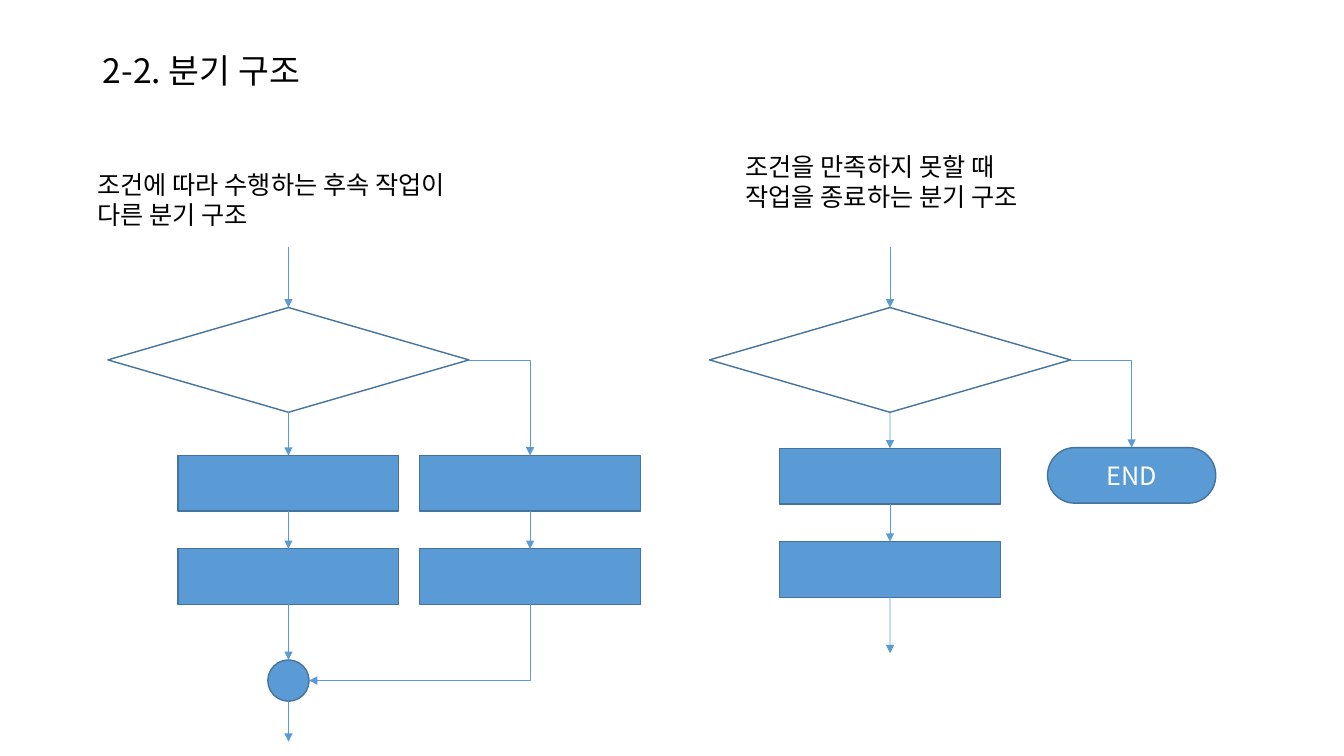
from dataclasses import dataclass

from lxml import etree
from pptx import Presentation
from pptx.dml.color import RGBColor
from pptx.enum.shapes import MSO_CONNECTOR, MSO_SHAPE
from pptx.enum.text import MSO_ANCHOR, MSO_AUTO_SIZE, PP_ALIGN
from pptx.oxml.ns import qn
from pptx.shapes.autoshape import Shape
from pptx.shapes.connector import Connector
from pptx.text.text import _Paragraph
from pptx.util import Cm, Pt

STRAIGHT, ELBOW = MSO_CONNECTOR.STRAIGHT, MSO_CONNECTOR.ELBOW
CHOICE = MSO_SHAPE.FLOWCHART_DECISION
STEP = MSO_SHAPE.FLOWCHART_PROCESS
JOIN = MSO_SHAPE.FLOWCHART_CONNECTOR
STOP = MSO_SHAPE.FLOWCHART_TERMINATOR
LEFT, CENTER, MIDDLE = PP_ALIGN.LEFT, PP_ALIGN.CENTER, MSO_ANCHOR.MIDDLE
NO_FIT, GROW = MSO_AUTO_SIZE.NONE, MSO_AUTO_SIZE.SHAPE_TO_FIT_TEXT
TOP, BOTTOM, RIGHT = 0, 2, 3

FONT = "Noto Sans CJK KR"
BLUE, EDGE, BLACK, WHITE = "5B9BD5", "43739E", "000000", "FFFFFF"
SIZES = {CHOICE: (9.1, 2.64), STEP: (5.56, 1.4), JOIN: (1.04, 1.04), STOP: (4.24, 1.4)}
START, HEAD = 6.22, 7.75  # top of entry arrow and of decision
PITCH = 2.35  # from one step to the next


@dataclass
class Node:
    kind: MSO_SHAPE
    mid: float
    top: float
    text: str = ""


@dataclass
class Label:
    left: float
    top: float
    width: float
    lines: tuple[str, ...]


LABELS = [
    Label(18.54, 3.68, 8.26, ("조건을 만족하지 못할 때", "작업을 종료하는 분기 구조")),
    Label(2.21, 4.14, 10.39, ("조건에 따라 수행하는 후속 작업이", "다른 분기 구조")),
]

prs = Presentation()
prs.slide_width, prs.slide_height = Cm(33.87), Cm(19.05)
slide = prs.slides.add_slide(prs.slide_layouts[5])
shapes = slide.shapes


def rgb(code: str) -> RGBColor:
    return RGBColor.from_string(code)


def style(para: _Paragraph, size: float, color: str, align: PP_ALIGN = LEFT) -> None:
    para.alignment = align
    font = para.font
    font.size, font.name = Pt(size), FONT
    font.color.rgb = rgb(color)
    etree.SubElement(font._element, qn("a:ea")).set("typeface", FONT)


def draw(node: Node) -> Shape:
    wide, high = SIZES[node.kind]
    shape = shapes.add_shape(
        node.kind, Cm(node.mid - wide / 2), Cm(node.top), Cm(wide), Cm(high))
    shape.shadow.inherit = False
    if node.kind == CHOICE:
        shape.fill.background()
    else:
        shape.fill.solid()
        shape.fill.fore_color.rgb = rgb(BLUE)
    shape.line.color.rgb = rgb(EDGE)
    shape.line.width = Pt(1)
    if node.text:
        shape.text_frame.text = node.text
        shape.text_frame.vertical_anchor = MIDDLE
        style(shape.text_frame.paragraphs[0], 18, WHITE, CENTER)
    return shape


def arrow(x: float, y: float, x2: float, y2: float, bent: bool = False) -> Connector:
    link = shapes.add_connector(ELBOW if bent else STRAIGHT, Cm(x), Cm(y), Cm(x2), Cm(y2))
    link.line.color.rgb = rgb(BLUE)
    link.line.width = Pt(0.5)
    props = link._element.spPr
    if bent:
        props.find(qn("a:prstGeom")).set("prst", "bentConnector2")
    etree.SubElement(props.find(qn("a:ln")), qn("a:tailEnd")).set("type", "triangle")
    etree.SubElement(props, qn("a:effectLst"))
    return link


def link(start: Shape, end: Shape, side: int = BOTTOM) -> None:
    line = arrow(0, 0, 1, 1, bent=side == RIGHT)
    line.begin_connect(start, side)
    line.end_connect(end, TOP)


def branch(mid: float, top: float) -> tuple[Shape, list[Shape]]:
    """Entry arrow, decision and two steps below it."""
    choice = draw(Node(CHOICE, mid, HEAD))
    arrow(mid, START, mid, HEAD).end_connect(choice, TOP)
    steps = column(mid, top)
    link(choice, steps[0])
    return choice, steps


def column(mid: float, top: float) -> list[Shape]:
    steps = [draw(Node(STEP, mid, top + i * PITCH)) for i in range(2)]
    link(*steps)
    return steps


# Title
title = shapes.title
title.left, title.top, title.width, title.height = Cm(2.34), Cm(1.02), Cm(29.21), Cm(1.6)
title.text_frame.text = "2-2. 분기 구조"
title.text_frame.auto_size = NO_FIT
title.text_frame.vertical_anchor = MIDDLE
head = title.text_frame.paragraphs[0]
head.line_spacing = 0.9
style(head, 24, BLACK)

# Left chart: two branches that meet again
main, side = 7.27, 13.36
choice, steps = branch(main, 11.48)
others = column(side, 11.48)
link(choice, others[0], RIGHT)
meet = 16.63
join = draw(Node(JOIN, main, meet))
link(steps[1], join)
size = SIZES[JOIN][0]
arrow(main, meet + size, main, 18.69)

# Bend back to the join: a quarter turn about its centre
low, edge = 11.48 + PITCH + SIZES[STEP][1], main + size / 2
drop, run = meet + size / 2 - low, side - edge
x, y = (side + edge - drop) / 2, low + (drop - run) / 2
back = arrow(x, y, x + drop, y + run, bent=True)
back._element.spPr.find(qn("a:xfrm")).set("rot", "5400000")

# Right chart: stop when the condition fails
main = 22.43
choice, steps = branch(main, 11.3)
link(choice, draw(Node(STOP, 28.52, 11.28, "END")), RIGHT)
arrow(main, 15.05, main, 16.46).begin_connect(steps[1], BOTTOM)

# Captions
for label in LABELS:
    box = shapes.add_textbox(Cm(label.left), Cm(label.top), Cm(label.width), Cm(1.8))
    frame = box.text_frame
    frame.word_wrap = False
    frame.auto_size = GROW
    frame.text = "\n".join(label.lines)
    for para in frame.paragraphs:
        style(para, 18, BLACK)

prs.save("out.pptx")
